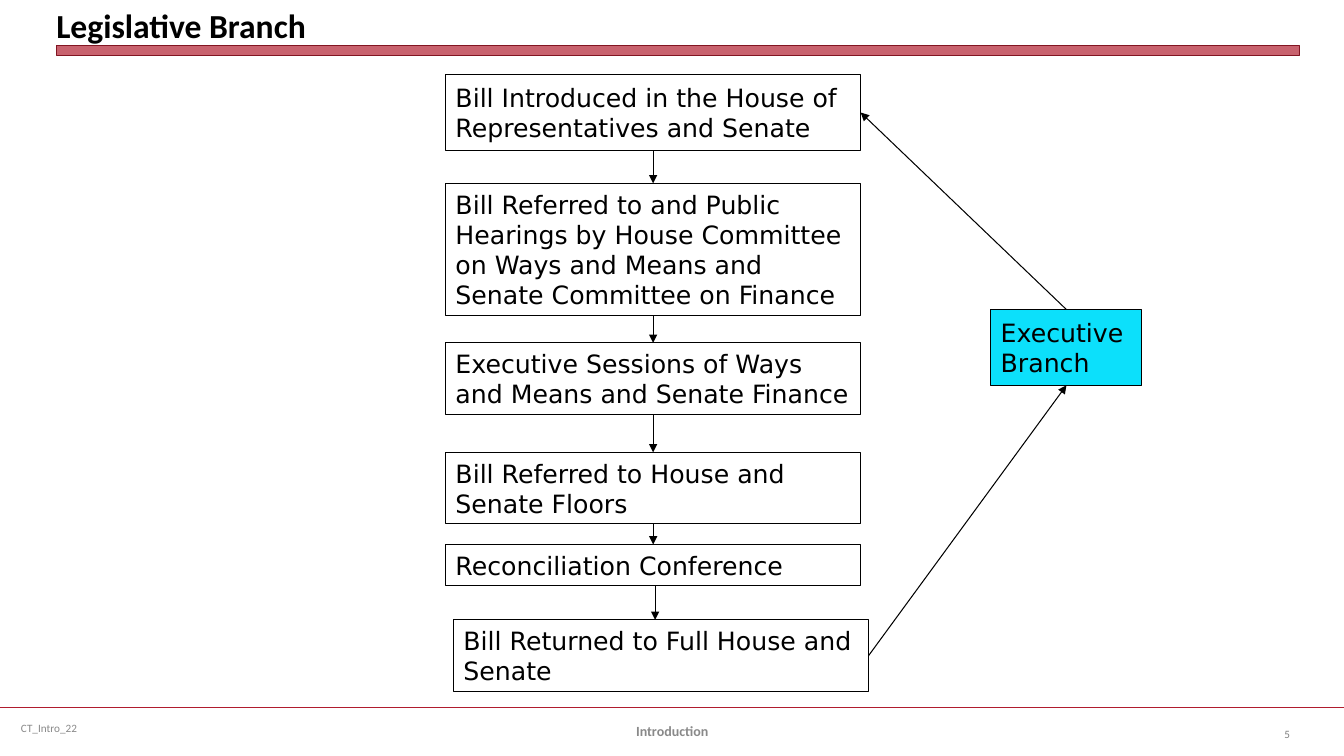
"""Build the slide showing how a bill moves through the legislative branch."""
from dataclasses import dataclass

from lxml import etree
from pptx import Presentation
from pptx.dml.color import RGBColor
from pptx.enum.shapes import MSO_CONNECTOR, MSO_SHAPE
from pptx.enum.text import MSO_ANCHOR, PP_ALIGN
from pptx.oxml.ns import qn
from pptx.util import Cm, Pt

RECT = MSO_SHAPE.RECTANGLE
STRAIGHT = MSO_CONNECTOR.STRAIGHT
MIDDLE, BOTTOM_ANCHOR = MSO_ANCHOR.MIDDLE, MSO_ANCHOR.BOTTOM
LEFT_ALIGN, CENTER, RIGHT_ALIGN = PP_ALIGN.LEFT, PP_ALIGN.CENTER, PP_ALIGN.RIGHT
TOP, BOTTOM, RIGHT = 0, 2, 3

COLORS = {
    "black": "000000",
    "red": "B01C2E",
    "dark_red": "821522",
    "cyan": "0CE0FB",
    "footer": "898989",
    "number": "808080",
}
SLIDE_W, SLIDE_H = 33.87, 19.05
STEP_X, STEP_W = 11.23, 10.46


@dataclass(frozen=True)
class Box:
    text: str
    top: float
    height: float
    left: float = STEP_X
    width: float = STEP_W
    fill: str | None = None


@dataclass(frozen=True)
class Label:
    text: str
    left: float
    top: float
    width: float
    size: float
    color: str
    bold: bool = False
    align: PP_ALIGN = LEFT_ALIGN
    anchor: MSO_ANCHOR = MIDDLE
    inset: bool = True


STEPS = [
    Box("Bill Introduced in the House of Representatives and Senate", 1.88, 1.91),
    Box("Bill Referred to and Public Hearings by House Committee on Ways "
        "and Means and Senate Committee on Finance", 4.62, 3.33),
    Box("Executive Sessions of Ways and Means and Senate Finance", 8.64, 1.8),
    Box("Bill Referred to House and Senate Floors", 11.4, 1.8),
    Box("Reconciliation Conference", 13.72, 1.04),
    Box("Bill Returned to Full House and Senate", 15.62, 1.8, left=11.43),
]
EXECUTIVE = Box("Executive Branch", 7.8, 1.91, left=24.97, width=3.81, fill="cyan")

LABELS = [
    Label("Legislative Branch", 1.42, 0.13, 31.32, 24, "black", bold=True,
          anchor=BOTTOM_ANCHOR, inset=False),
    Label("CT_Intro_22", 0.28, 17.83, 8.74, 8, "footer"),
    Label("Introduction", 11.58, 17.91, 10.72, 10, "footer", bold=True, align=CENTER),
    Label("5", 31.06, 17.98, 1.7, 8, "number", align=RIGHT_ALIGN),
]


def rgb(name: str) -> RGBColor:
    return RGBColor.from_string(COLORS[name])


def write_text(tf, text: str, *, size: float, font: str, color: str = "black",
               bold: bool = False, align: PP_ALIGN = LEFT_ALIGN,
               anchor: MSO_ANCHOR = MIDDLE) -> None:
    tf.word_wrap = True
    tf.vertical_anchor = anchor
    p = tf.paragraphs[0]
    p.alignment = align
    r = p.add_run()
    r.text = text
    r.font.name = font
    r.font.size = Pt(size)
    r.font.bold = bold
    r.font.color.rgb = rgb(color)


def add_rect(s, left: float, top: float, width: float, height: float, *,
             fill: str | None, line: str, weight: float):
    sp = s.shapes.add_shape(RECT, Cm(left), Cm(top), Cm(width), Cm(height))
    sp.shadow.inherit = False
    if fill:
        sp.fill.solid()
        sp.fill.fore_color.rgb = rgb(fill)
    else:
        sp.fill.background()
    sp.line.color.rgb = rgb(line)
    sp.line.width = Pt(weight)
    return sp


def add_box(s, box: Box):
    sp = add_rect(s, box.left, box.top, box.width, box.height,
                  fill=box.fill, line="black", weight=0.75)
    write_text(sp.text_frame, box.text, size=18, font="DejaVu Sans")
    return sp


def add_label(s, label: Label) -> None:
    sp = s.shapes.add_textbox(Cm(label.left), Cm(label.top), Cm(label.width), Cm(1.02))
    tf = sp.text_frame
    if not label.inset:
        tf.margin_left = tf.margin_right = tf.margin_top = tf.margin_bottom = 0
    write_text(tf, label.text, size=label.size, font="Calibri", color=label.color,
               bold=label.bold, align=label.align, anchor=label.anchor)


def add_line(s, x1: float, y1: float, x2: float, y2: float, *,
             color: str = "black", weight: float = 0.75, arrow: bool = True):
    line = s.shapes.add_connector(STRAIGHT, Cm(x1), Cm(y1), Cm(x2), Cm(y2))
    line.line.color.rgb = rgb(color)
    line.line.width = Pt(weight)
    if arrow:
        ln = line.line._get_or_add_ln()
        etree.SubElement(ln, qn("a:tailEnd"), type="triangle")
    etree.SubElement(line._element.spPr, qn("a:effectLst"))
    return line


def join(s, source, source_side: int, target, target_side: int) -> None:
    line = add_line(s, 0, 0, 0, 0)
    line.begin_connect(source, source_side)
    line.end_connect(target, target_side)


def add_banner(s) -> None:
    sp = add_rect(s, 1.42, 1.14, 31.32, 0.25, fill="red", line="dark_red", weight=0)
    color = sp._element.spPr.find(qn("a:solidFill")).find(qn("a:srgbClr"))
    etree.SubElement(color, qn("a:alpha"), val="69000")


def main() -> None:
    prs = Presentation()
    prs.slide_width, prs.slide_height = Cm(SLIDE_W), Cm(SLIDE_H)
    s = prs.slides.add_slide(prs.slide_layouts[6])

    add_line(s, 0, 17.83, SLIDE_W, 17.83, color="red", weight=1.25, arrow=False)
    add_banner(s)
    for label in LABELS:
        add_label(s, label)

    steps = [add_box(s, step) for step in STEPS]
    executive = add_box(s, EXECUTIVE)
    aligned = steps[:-1]
    for source, target in zip(aligned, aligned[1:]):
        join(s, source, BOTTOM, target, TOP)
    conference, returned = STEPS[-2:]
    add_line(s, 16.51, conference.top + conference.height, 16.51, returned.top)
    join(s, steps[-1], RIGHT, executive, BOTTOM)
    join(s, executive, TOP, steps[0], RIGHT)

    prs.save("out.pptx")


if __name__ == "__main__":
    main()
